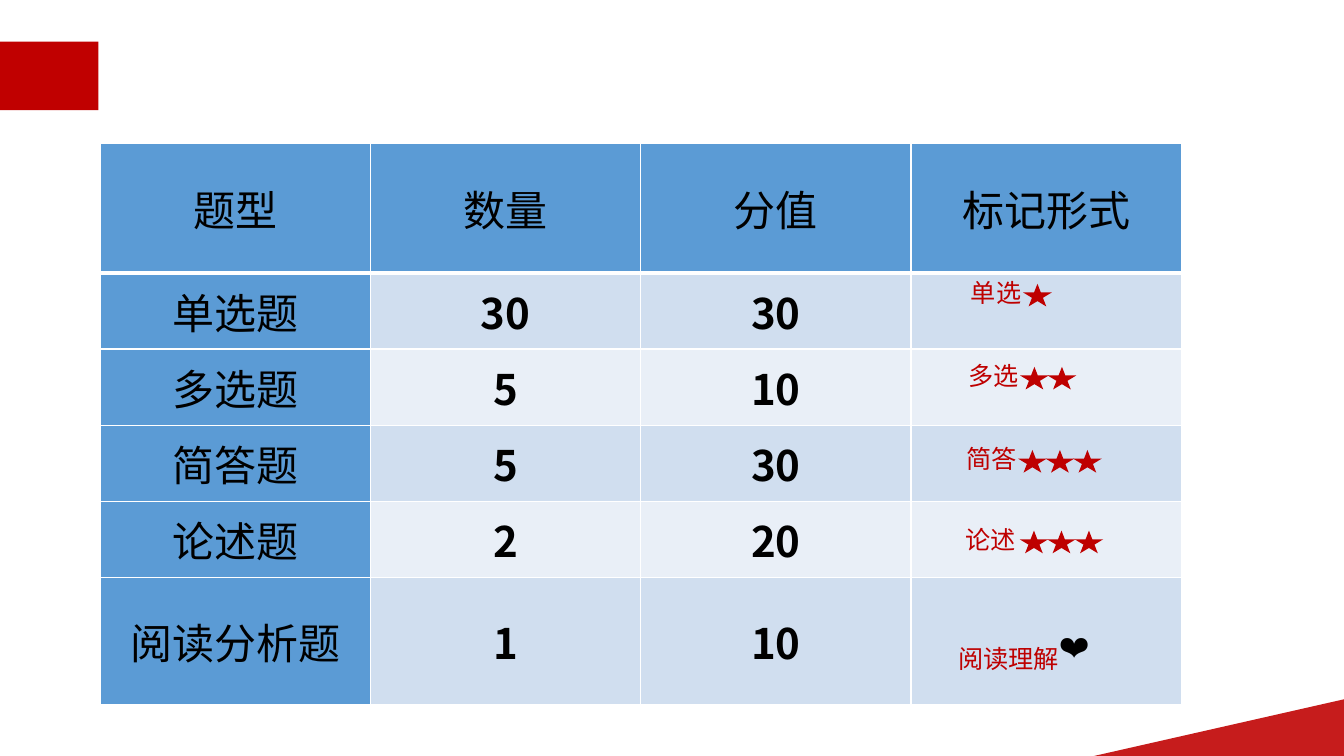
from lxml import etree
from pptx import Presentation
from pptx.dml.color import RGBColor
from pptx.enum.shapes import MSO_SHAPE as SHAPE
from pptx.enum.text import MSO_ANCHOR as ANCHOR, PP_ALIGN as ALIGN
from pptx.oxml.ns import qn
from pptx.util import Pt

RED, DARK_RED, BLACK, WHITE = "BE0000", "C00000", "000000", "FFFFFF"
HEADER, BANDS = "5B9BD5", ("D0DEEF", "E9EFF7")
TABLE_FONT, LABEL_FONT = "Noto Sans CJK SC", "Calibri"

ROWS = [
    ("题型", "数量", "分值", "标记形式"),
    ("单选题", "30", "30", ""),
    ("多选题", "5", "10", ""),
    ("简答题", "5", "30", ""),
    ("论述题", "2", "20", ""),
    ("阅读分析题", "1", "10", "❤️"),
]
ROW_HEIGHTS = (185, 108.7, 108.7, 108.7, 108.7, 182)
COL_WIDTH = 386

# label, left, top, left of first star, number of stars
MARKS = [
    ("单选", 1380, 389, 1461.6, 1),
    ("多选", 1376, 507.6, 1457.3, 2),
    ("简答", 1374, 626.4, 1454.4, 3),
    ("论述", 1371.6, 741.6, 1456.6, 3),
    ("阅读理解", 1361.5, 911.5, 0, 0),
]
STAR_W, STAR_H, STAR_STEP, STAR_DROP = 41, 32.4, 39.3, 16.4


def color(value):
    return RGBColor.from_string(value)


def paint(s, fill):
    s.shadow.inherit = False
    s.fill.solid()
    s.fill.fore_color.rgb = color(fill)
    s.line.fill.background()


def add_block(slide, kind, x, y, w, h, fill):
    paint(slide.shapes.add_shape(kind, Pt(x), Pt(y), Pt(w), Pt(h)), fill)


def add_corner(slide):
    builder = slide.shapes.build_freeform(Pt(1920), Pt(1082))
    builder.add_line_segments([(Pt(1920), Pt(999)), (Pt(1554), Pt(1082))])
    s = builder.convert_to_shape()
    paint(s, DARK_RED)
    rgb = s.fill._xPr.find(".//" + qn("a:srgbClr"))
    etree.SubElement(rgb, qn("a:alpha"), val="89000")


def set_font(p, name, size, rgb, bold=False):
    p.font.name, p.font.size, p.font.bold = name, Pt(size), bold
    p.font.color.rgb = color(rgb)


def add_label(slide, text, x, y):
    width = 36 * len(text) + 14.4
    tf = slide.shapes.add_textbox(Pt(x), Pt(y), Pt(width), Pt(64)).text_frame
    tf.word_wrap = False
    tf.margin_left = tf.margin_right = tf.margin_top = tf.margin_bottom = Pt(7.2)
    p = tf.paragraphs[0]
    p.text = text
    set_font(p, LABEL_FONT, 36, RED)


def set_borders(cell, top, bottom):
    tc_pr = cell._tc.get_or_add_tcPr()
    sides = (("lnL", 2), ("lnR", 2), ("lnT", top), ("lnB", bottom))
    for i, (side, width) in enumerate(sides):
        ln = etree.Element(qn("a:" + side), w=str(Pt(width)))
        fill = etree.SubElement(ln, qn("a:solidFill"))
        etree.SubElement(fill, qn("a:srgbClr"), val=WHITE)
        tc_pr.insert(i, ln)


def fill_cell(cell, text, row, col):
    is_header = row == 0 or col == 0
    cell.fill.solid()
    cell.fill.fore_color.rgb = color(HEADER if is_header else BANDS[(row - 1) % 2])
    set_borders(cell, 6 if row == 1 else 2, 6 if row == 0 else 2)
    cell.vertical_anchor = ANCHOR.MIDDLE
    cell.margin_left = cell.margin_right = cell.margin_top = cell.margin_bottom = 0
    if not text:
        return
    p = cell.text_frame.paragraphs[0]
    p.text = text
    p.alignment = ALIGN.CENTER
    set_font(p, TABLE_FONT, 60, BLACK, not is_header)
    # The heart sits to the right of its label
    if row > 0 and col == 3:
        p.font.size = Pt(46)
        cell.margin_left, cell.margin_top = Pt(80), Pt(12)


def add_score_table(slide):
    n_cols = len(ROWS[0])
    table = slide.shapes.add_table(
        len(ROWS), n_cols, Pt(143.5), Pt(205),
        Pt(COL_WIDTH * n_cols), Pt(sum(ROW_HEIGHTS))).table
    table.first_row = table.horz_banding = False
    for column in table.columns:
        column.width = Pt(COL_WIDTH)
    for r, (texts, height) in enumerate(zip(ROWS, ROW_HEIGHTS)):
        table.rows[r].height = Pt(height)
        for c, text in enumerate(texts):
            fill_cell(table.cell(r, c), text, r, c)


def main():
    prs = Presentation()
    prs.slide_width, prs.slide_height = Pt(1920), Pt(1080)
    slide = prs.slides.add_slide(prs.slide_layouts[6])

    # Decoration
    add_corner(slide)
    add_block(slide, SHAPE.RECTANGLE, 0, 59.5, 140.5, 98, DARK_RED)

    # Question types and scores
    add_score_table(slide)

    # Marks in the last column
    for text, x, y, star_x, count in MARKS:
        add_label(slide, text, x, y)
        for i in range(count):
            add_block(slide, SHAPE.STAR_5_POINT, star_x + i * STAR_STEP,
                      y + STAR_DROP, STAR_W, STAR_H, RED)

    prs.save("out.pptx")


if __name__ == "__main__":
    main()
